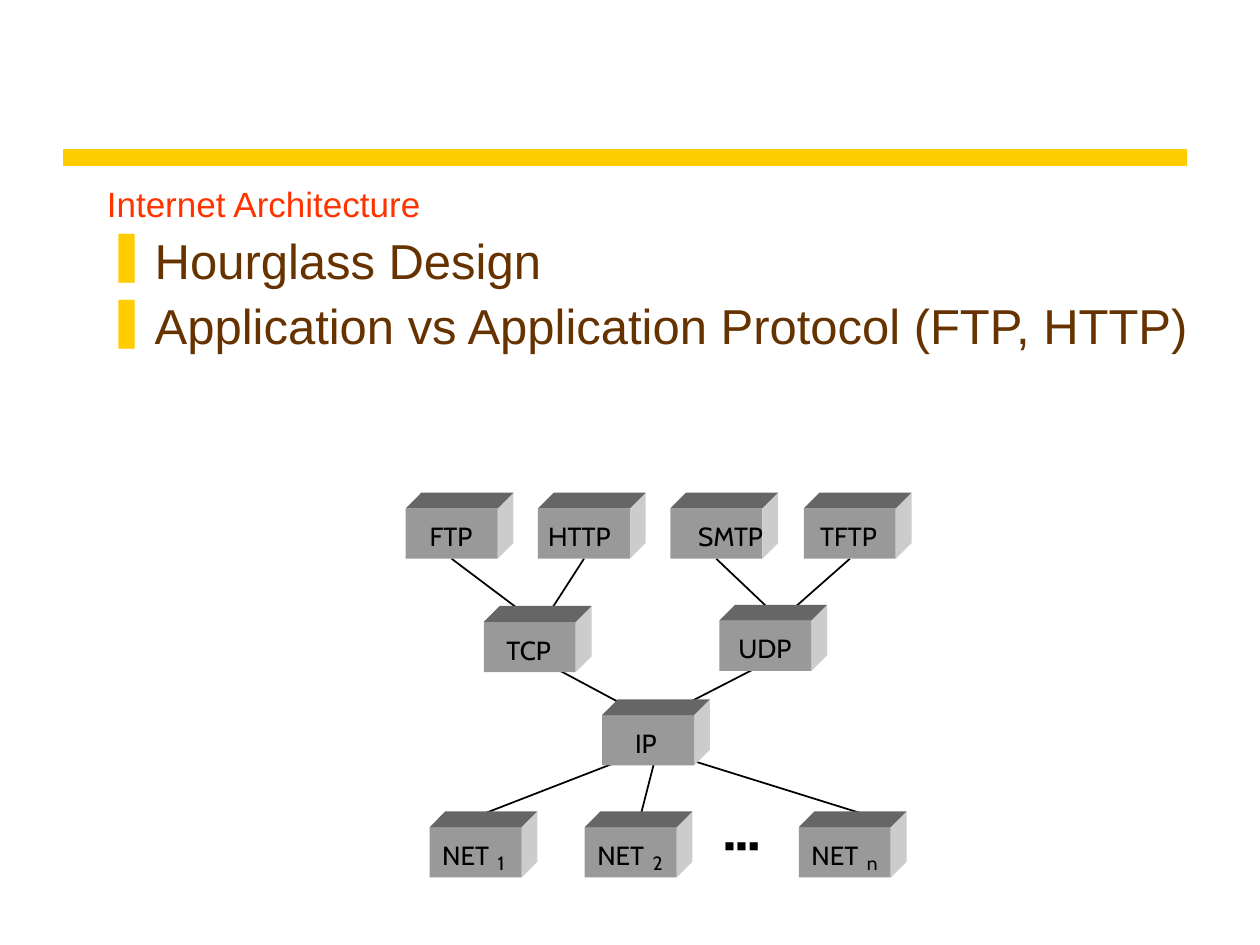
from dataclasses import dataclass

from lxml import etree
from pptx import Presentation
from pptx import util as u
from pptx.dml.color import RGBColor
from pptx.enum import shapes, text
from pptx.oxml.ns import qn

FACE_WIDTH, FACE_HEIGHT, DEPTH = 0.73, 0.4, 0.125
APPLICATION_TOP, NETWORK_TOP = 3.91, 6.44


@dataclass
class Node:
    name: str
    left: float
    top: float
    label_offset: float
    label_width: float
    subscript: str = ""


@dataclass
class Link:
    start: tuple[float, float]
    end: tuple[float, float]
    source: str = ""


NODES = [
    Node("FTP", 3.22, APPLICATION_TOP, 0.19, 0.35),
    Node("HTTP", 4.27, APPLICATION_TOP, 0.08, 0.51),
    Node("SMTP", 5.32, APPLICATION_TOP, 0.22, 0.55),
    Node("TFTP", 6.38, APPLICATION_TOP, 0.13, 0.47),
    Node("TCP", 3.84, 4.81, 0.18, 0.37),
    Node("UDP", 5.71, 4.8, 0.15, 0.43),
    Node("IP", 4.78, 5.55, 0.26, 0.2),
    Node("NET", 3.41, NETWORK_TOP, 0.1, 0.39, "1"),
    Node("NET", 4.64, NETWORK_TOP, 0.1, 0.39, "2"),
    Node("NET", 6.34, NETWORK_TOP, 0.1, 0.39, "n"),
]

LINKS = [
    Link((3.58, 4.43), (4.11, 4.83), "FTP"),
    Link((4.64, 4.43), (4.38, 4.83), "HTTP"),
    Link((5.69, 4.43), (6.08, 4.81), "SMTP"),
    Link((6.75, 4.43), (6.32, 4.81), "TFTP"),
    Link((4.27, 5.23), (4.98, 5.61)),
    Link((6.14, 5.23), (5.4, 5.61)),
    Link((4.97, 6.02), (3.86, 6.45)),
    Link((5.2, 6.02), (5.09, 6.45)),
    Link((5.44, 6.02), (6.82, 6.45)),
]


def color(value: str) -> RGBColor:
    return RGBColor.from_string(value)


def add_line(slide, start, end, line_color: str, width: float):
    points = [u.Inches(value) for value in (*start, *end)]
    connector = slide.shapes.add_connector(shapes.MSO_CONNECTOR.STRAIGHT, *points)
    connector.line.color.rgb = color(line_color)
    connector.line.width = u.Pt(width)
    etree.SubElement(connector._element.spPr, qn("a:effectLst"))
    return connector


def add_text(slide, box, lines: list[str], size: float, font: str, font_color: str):
    shape = slide.shapes.add_textbox(*[u.Inches(value) for value in box])
    frame = shape.text_frame
    frame.text = "\n".join(lines)
    frame.word_wrap = True
    for paragraph in frame.paragraphs:
        for run in paragraph.runs:
            run.font.size = u.Pt(size)
            run.font.name = font
            run.font.color.rgb = color(font_color)
    return frame


def add_label(slide, box, label: str, size: float) -> None:
    frame = add_text(slide, box, [label], size, "Cabin", "000000")
    frame.margin_left = frame.margin_right = 0
    frame.margin_top = frame.margin_bottom = 0
    frame.word_wrap = False
    frame.auto_size = text.MSO_AUTO_SIZE.SHAPE_TO_FIT_TEXT


def add_bullet(paragraph, symbol: str, bullet_color: str) -> None:
    properties = paragraph._p.get_or_add_pPr()
    properties.set("marL", str(u.Inches(0.38)))
    properties.set("indent", str(u.Inches(-0.38)))
    paragraph.line_spacing = 0.9
    paragraph.space_before = u.Pt(7)
    fill = etree.SubElement(properties, qn("a:buClr"))
    etree.SubElement(fill, qn("a:srgbClr"), val=bullet_color)
    etree.SubElement(properties, qn("a:buChar"), char=symbol)


def paint(shape, fill_color: str) -> None:
    shape.shadow.inherit = False
    shape.fill.solid()
    shape.fill.fore_color.rgb = color(fill_color)
    shape.line.fill.background()


def add_side(slide, points: list[tuple[float, float]], fill_color: str) -> None:
    corners = [(u.Inches(x), u.Inches(y)) for x, y in points]
    builder = slide.shapes.build_freeform(*corners[0])
    builder.add_line_segments(corners[1:], close=True)
    paint(builder.convert_to_shape(), fill_color)


def add_node(slide, node: Node):
    left, back_top = node.left, node.top
    right, front_top = left + FACE_WIDTH, back_top + DEPTH
    bottom = front_top + FACE_HEIGHT
    back_right = right + DEPTH
    add_side(slide, [(back_right, back_top), (back_right, bottom - DEPTH),
                     (right, bottom), (right, front_top)], "CCCCCC")
    face = slide.shapes.add_shape(
        shapes.MSO_SHAPE.RECTANGLE, u.Inches(left), u.Inches(front_top),
        u.Inches(FACE_WIDTH), u.Inches(FACE_HEIGHT))
    paint(face, "999999")
    add_side(slide, [(left, front_top), (left + DEPTH, back_top),
                     (back_right, back_top), (right, front_top)], "666666")
    label_box = (left + node.label_offset, back_top + 0.22, node.label_width, 0.25)
    add_label(slide, label_box, node.name, 15)
    if node.subscript:
        add_label(slide, (left + 0.54, back_top + 0.32, 0.09, 0.18), node.subscript, 11)
    return face


def main() -> None:
    presentation = Presentation()
    presentation.slide_width = u.Inches(10)
    presentation.slide_height = u.Inches(7.5)
    slide = presentation.slides.add_slide(presentation.slide_layouts[6])

    add_line(slide, (0.5, 1.25), (9.42, 1.25), "FFCC00", 10)
    title = add_text(slide, (0.75, 0.58, 8.5, 1.25),
                     ["Internet Architecture"], 20, "Arial", "FF3300")
    title.vertical_anchor = text.MSO_ANCHOR.BOTTOM
    body = add_text(slide, (0.75, 1.83, 8.83, 4.5),
                    ["Hourglass Design", "Application vs Application Protocol (FTP, HTTP)"],
                    28, "Arial", "663300")
    for paragraph in body.paragraphs:
        add_bullet(paragraph, "❚", "FFCC00")

    add_label(slide, (5.75, 6.66, 0.28, 0.1), "■ ■ ■", 6)
    connectors = [add_line(slide, link.start, link.end, "000000", 1) for link in LINKS]
    faces = {node.name: add_node(slide, node) for node in NODES}
    for link, connector in zip(LINKS, connectors):
        if link.source:
            connector.begin_connect(faces[link.source], 2)

    presentation.save("out.pptx")


if __name__ == "__main__":
    main()
